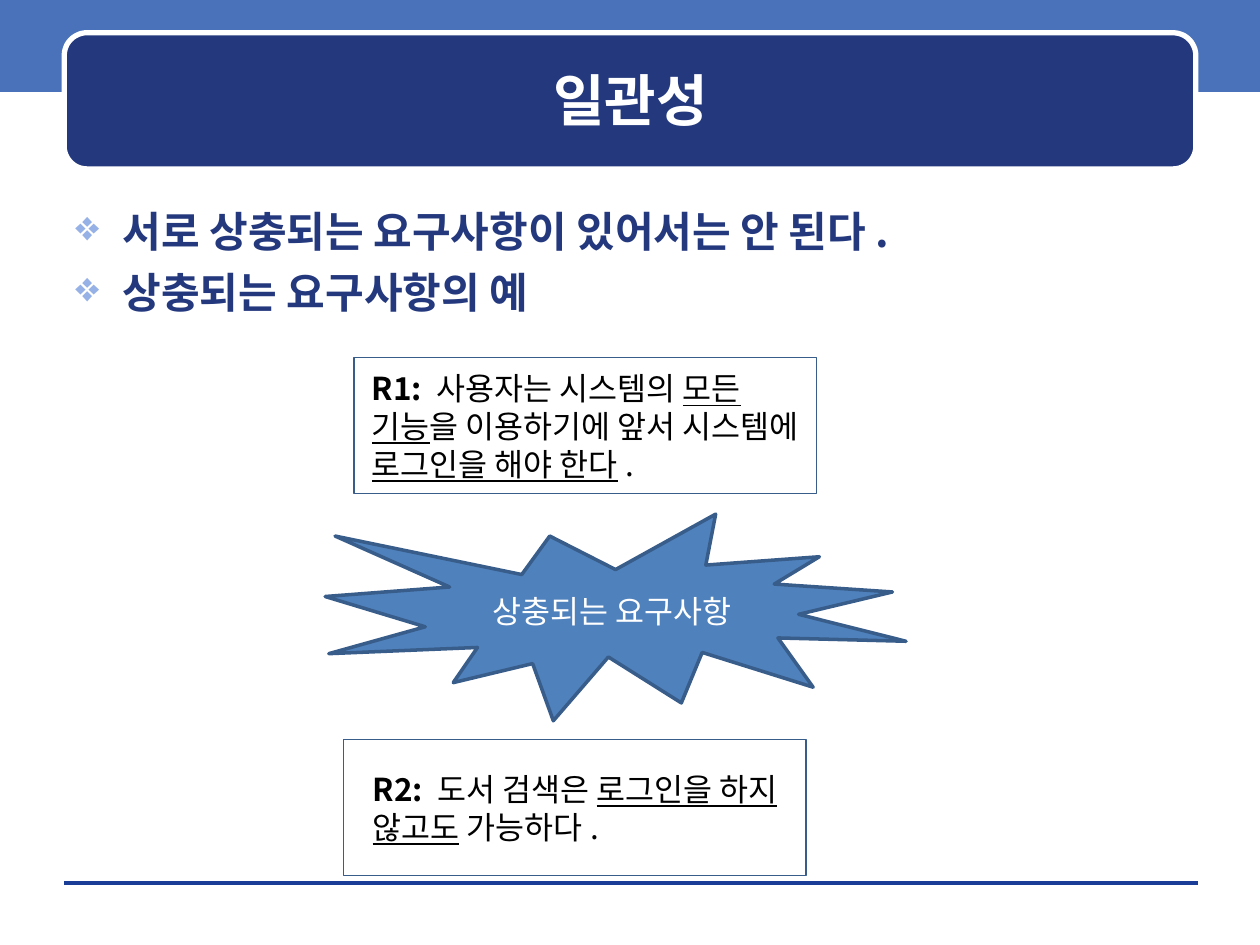
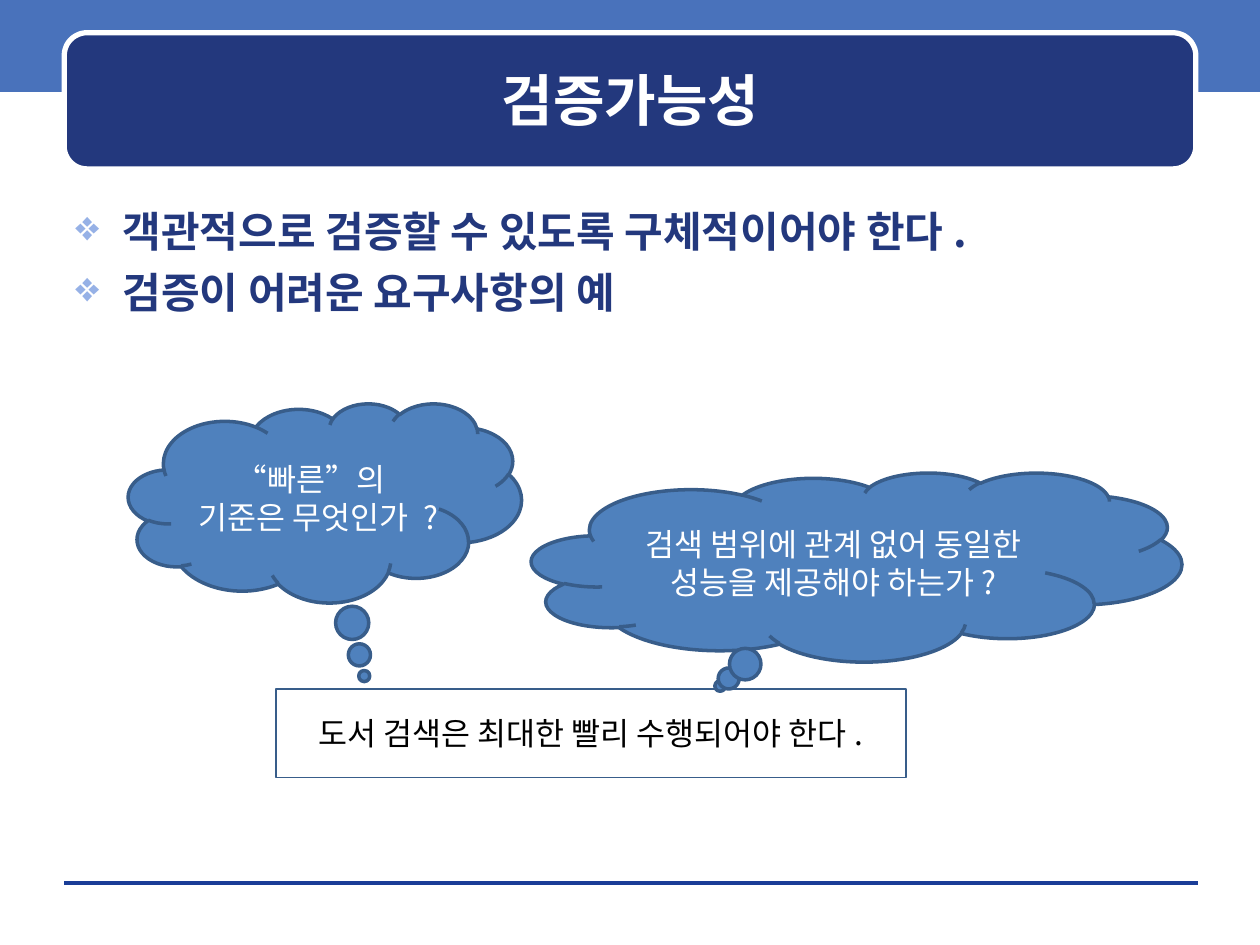
"""Build two slides on consistent and verifiable requirements."""
from dataclasses import dataclass

from lxml.etree import SubElement
from pptx import Presentation
from pptx.dml.color import RGBColor as RGB
from pptx.enum.shapes import MSO_CONNECTOR as CONN, MSO_SHAPE as SHAPE
from pptx.enum.text import MSO_ANCHOR as ANCHOR, PP_ALIGN as ALIGN
from pptx.oxml.ns import qn
from pptx.util import Pt

COLORS = {
    "band": "4972BB", "navy": "23387D", "rule": "1A3D97", "bullet": "96B1E6",
    "blue": "4F81BD", "edge": "385D8A", "white": "FFFFFF", "black": "000000",
}
KR = "Noto Sans CJK KR"
TITLE = {"name": "DejaVu Sans", "size": Pt(32), "bold": True}
BODY = {"name": KR, "size": Pt(24), "bold": True}
NOTE = {"name": KR, "size": Pt(18)}
BOLD, UNDER = {"bold": True}, {"underline": True}


@dataclass(frozen=True)
class Box:
    x: float
    y: float
    w: float
    h: float

    def emu(self) -> list:
        return [Pt(v) for v in (self.x, self.y, self.w, self.h)]


@dataclass(frozen=True)
class Requirement:
    box: Box
    runs: tuple


@dataclass(frozen=True)
class Callout:
    box: Box
    text: str
    kind: SHAPE = SHAPE.CLOUD_CALLOUT
    adjust: tuple = ()


@dataclass(frozen=True)
class Page:
    title: str
    bullets: tuple
    requirements: tuple
    callouts: tuple


PAGES = (
    Page(
        "일관성",
        ("서로 상충되는 요구사항이 있어서는 안 된다.", "상충되는 요구사항의 예"),
        (
            Requirement(Box(196.5, 422.7, 264.2, 77.8), (
                ("R2: ", BOLD), ("도서 검색은 ", {}),
                ("로그인을 하지 않고도", UNDER), (" 가능하다.", {}))),
            Requirement(Box(202.4, 204.4, 264.2, 77.8), (
                ("R1: ", BOLD), ("사용자는 시스템의 ", {}), ("모든 기능", UNDER),
                ("을 이용하기에 앞서 시스템에 ", {}),
                ("로그인을 해야 한다", UNDER), (".", {}))),
        ),
        (Callout(Box(185.8, 293.8, 331.9, 118.1), "상충되는 요구사항", SHAPE.EXPLOSION1),),
    ),
    Page(
        "검증가능성",
        ("객관적으로 검증할 수 있도록 구체적이어야 한다.", "검증이 어려운 요구사항의 예"),
        (Requirement(Box(157.7, 393.8, 360, 50.4),
                     (("도서 검색은 최대한 빨리 수행되어야 한다.", {}),)),),
        (
            Callout(Box(303.8, 270, 371.5, 108),
                    "검색 범위에 관계 없어 동일한 성능을 제공해야 하는가?",
                    adjust=(-0.21, 0.63)),
            Callout(Box(73.4, 230.4, 224.6, 113.8), "“빠른”의 기준은 무엇인가 ?",
                    adjust=(0.1, 0.87)),
        ),
    ),
)


def add_run(p, text: str, color: str, fmt: dict) -> None:
    r = p.add_run()
    r.text = text
    for key, value in fmt.items():
        setattr(r.font, key, value)
    r.font.color.rgb = RGB.from_string(COLORS[color])
    SubElement(r.font._element, qn("a:ea"), typeface=KR)


def add_shape(s, kind: SHAPE, box: Box, fill: str = "", line: str = "", width: float = 0):
    sp = s.shapes.add_shape(kind, *box.emu())
    sp.shadow.inherit = False
    if fill:
        sp.fill.solid()
        sp.fill.fore_color.rgb = RGB.from_string(COLORS[fill])
    else:
        sp.fill.background()
    if line:
        sp.line.color.rgb = RGB.from_string(COLORS[line])
        sp.line.width = Pt(width)
    else:
        sp.line.fill.background()
    return sp


def add_text_box(s, box: Box, anchor: ANCHOR):
    tf = s.shapes.add_textbox(*box.emu()).text_frame
    tf.word_wrap, tf.vertical_anchor = True, anchor
    return tf


def add_frame(s, title: str) -> None:
    add_shape(s, SHAPE.RECTANGLE, Box(0, -2, 720, 54.5), "band")
    rule = s.shapes.add_connector(CONN.STRAIGHT, Pt(36.7), Pt(504.7), Pt(684.7), Pt(504.7))
    rule.line.color.rgb = RGB.from_string(COLORS["rule"])
    rule.line.width = Pt(0)
    SubElement(rule._element.spPr, qn("a:effectLst"))
    add_shape(s, SHAPE.ROUNDED_RECTANGLE, Box(36.7, 18.7, 646.6, 77.8), "navy", "white", 3)
    p = add_text_box(s, Box(43.2, 25.2, 634.3, 63.4), ANCHOR.MIDDLE).paragraphs[0]
    p.alignment = ALIGN.CENTER
    add_run(p, title, "white", TITLE)


def add_bullets(s, texts: tuple) -> None:
    tf = add_text_box(s, Box(36, 113.8, 648, 383.8), ANCHOR.TOP)
    for i, text in enumerate(texts):
        p = tf.add_paragraph() if i else tf.paragraphs[0]
        if i:
            p.space_before = Pt(6)
        pPr = p._p.get_or_add_pPr()
        pPr.set("marL", str(Pt(27)))
        pPr.set("indent", str(Pt(-27)))
        SubElement(SubElement(pPr, qn("a:buClr")), qn("a:srgbClr"), val=COLORS["bullet"])
        SubElement(pPr, qn("a:buChar"), char="❖")
        add_run(p, text, "navy", BODY)


def add_requirement(s, item: Requirement) -> None:
    sp = add_shape(s, SHAPE.RECTANGLE, item.box, line="edge", width=0.75)
    sp._element.txBody.bodyPr.set("anchorCtr", "1")
    p = sp.text_frame.paragraphs[0]
    p.alignment = ALIGN.LEFT
    for text, fmt in item.runs:
        add_run(p, text, "black", NOTE | fmt)


def add_callout(s, item: Callout) -> None:
    sp = add_shape(s, item.kind, item.box, "blue", "edge", 2)
    for i, value in enumerate(item.adjust):
        sp.adjustments[i] = value
    p = sp.text_frame.paragraphs[0]
    p.alignment = ALIGN.CENTER
    add_run(p, item.text, "white", NOTE)


def main() -> None:
    prs = Presentation()
    prs.slide_width, prs.slide_height = Pt(720), Pt(540)
    for page in PAGES:
        s = prs.slides.add_slide(prs.slide_layouts[6])
        add_frame(s, page.title)
        add_bullets(s, page.bullets)
        for item in page.requirements:
            add_requirement(s, item)
        for item in page.callouts:
            add_callout(s, item)
    prs.save("out.pptx")


if __name__ == "__main__":
    main()
